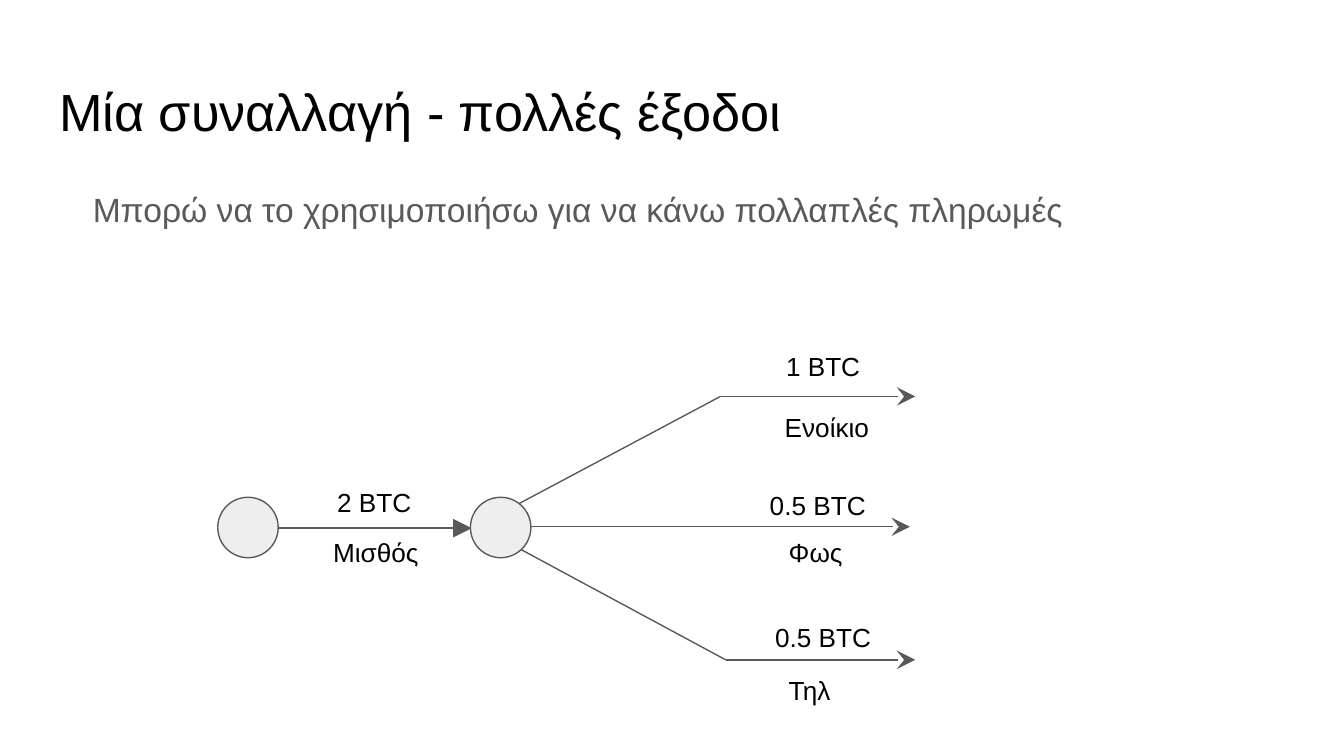
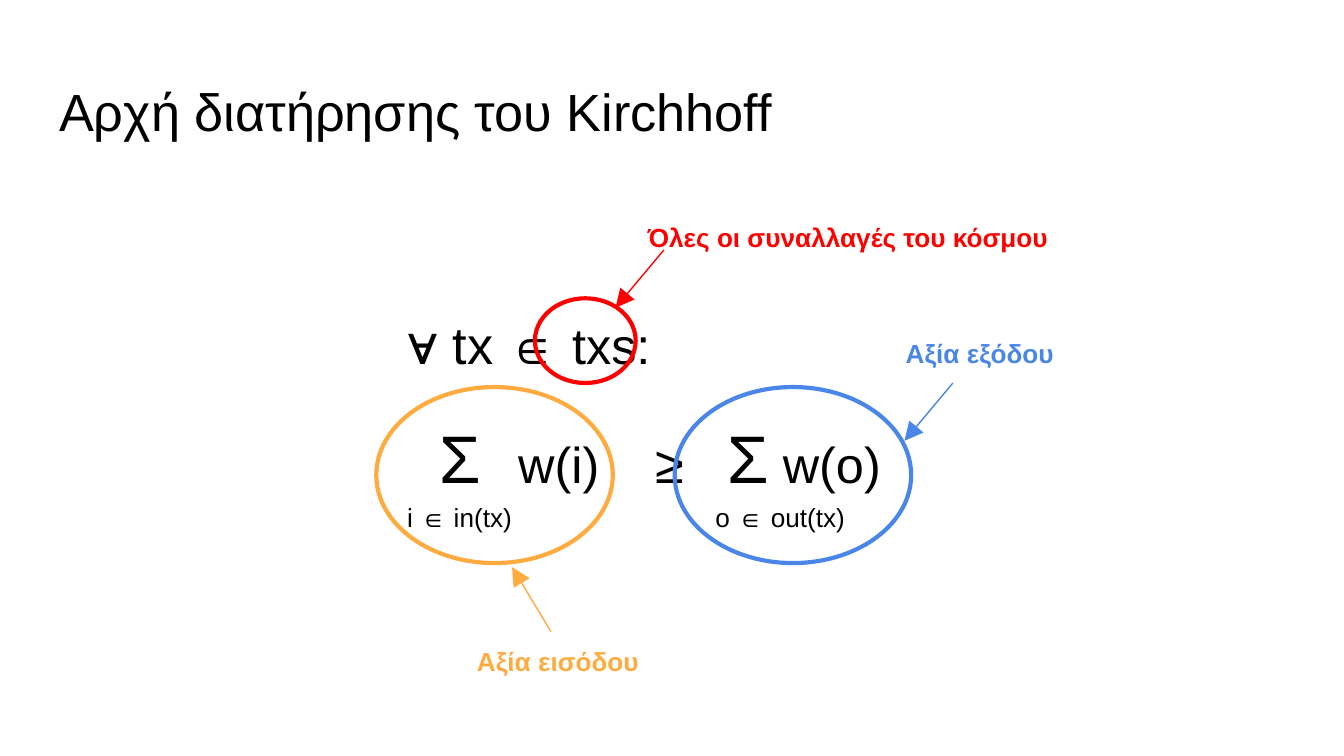
from dataclasses import dataclass

from lxml import etree
from pptx import Presentation
from pptx import util as u
from pptx.dml import color
from pptx.enum import shapes, text
from pptx.oxml import ns


@dataclass(frozen=True)
class Theme:
    font: str = "Arial"
    black: str = "000000"
    gray: str = "595959"
    pale: str = "EEEEEE"
    red: str = "FF0000"
    blue: str = "4A86E8"
    orange: str = "FFAB40"
    title_size: float = 28
    body_size: float = 18
    label_size: float = 14
    sum_size: float = 36
    term_size: float = 27
    thin: float = 0.75
    thick: float = 2.25


@dataclass(frozen=True)
class Box:
    left: float
    top: float
    width: float
    height: float

    def inside(self, left, top, width, height):
        """A box placed relative to this one."""
        return Box(self.left + left, self.top + top, width, height)

    def point(self, x, y):
        return u.Inches(self.left + x), u.Inches(self.top + y)

    def lengths(self):
        return [u.Inches(n) for n in (self.left, self.top, self.width, self.height)]


THEME = Theme()
TITLE = Box(0.34, 0.49, 9.32, 0.63)
BODY = Box(0.34, 1.26, 9.32, 3.74)
PAYMENTS = Box(1.62, 2.5, 5.81, 2.87)
CONSERVATION = Box(2.8, 1.55, 5.33, 3.58)


def rgb(value):
    return color.RGBColor.from_string(value)


def style_font(font, size, ink, bold=None):
    font.name = THEME.font
    font.size = u.Pt(size)
    font.color.rgb = rgb(ink)
    font.bold = bold


def prepare_frame(frame):
    frame.word_wrap = True
    frame.auto_size = text.MSO_AUTO_SIZE.NONE
    frame.vertical_anchor = text.MSO_ANCHOR.TOP
    frame.margin_left = frame.margin_right = u.Inches(0.1)
    frame.margin_top = frame.margin_bottom = u.Inches(0.1)


def place(shape, box):
    shape.left, shape.top, shape.width, shape.height = box.lengths()
    prepare_frame(shape.text_frame)


def format_body(paragraph, margin=0, indent=0):
    """Body spacing without a bullet."""
    properties = paragraph._p.get_or_add_pPr()
    properties.set("marL", str(u.Inches(margin)))
    properties.set("indent", str(u.Inches(indent)))
    etree.SubElement(properties, ns.qn("a:buNone"))
    paragraph.line_spacing = 1.15
    paragraph.space_before = u.Pt(0)
    paragraph.space_after = u.Pt(16)


def add_titled_slide(presentation, title):
    slide = presentation.slides.add_slide(presentation.slide_layouts[1])
    place(slide.shapes.title, TITLE)
    slide.shapes.title.text_frame.text = title
    paragraph = slide.shapes.title.text_frame.paragraphs[0]
    paragraph.alignment = text.PP_ALIGN.LEFT
    style_font(paragraph.runs[0].font, THEME.title_size, THEME.black)
    return slide


def add_label(slide, box, words, ink=THEME.black, bold=None, centered=False):
    frame = slide.shapes.add_textbox(*box.lengths()).text_frame
    prepare_frame(frame)
    frame.text = words
    paragraph = frame.paragraphs[0]
    if centered:
        paragraph.alignment = text.PP_ALIGN.CENTER
    style_font(paragraph.runs[0].font, THEME.label_size, ink, bold)


def add_ellipse(slide, box, ink, weight, fill=None):
    ellipse = slide.shapes.add_shape(shapes.MSO_SHAPE.OVAL, *box.lengths())
    ellipse.shadow.inherit = False
    if fill:
        ellipse.fill.solid()
        ellipse.fill.fore_color.rgb = rgb(fill)
    else:
        ellipse.fill.background()
    ellipse.line.color.rgb = rgb(ink)
    ellipse.line.width = u.Pt(weight)


def add_line(slide, box, start, end, ink, arrow=None):
    line = slide.shapes.add_connector(
        shapes.MSO_CONNECTOR.STRAIGHT, *box.point(*start), *box.point(*end))
    line.line.color.rgb = rgb(ink)
    line.line.width = u.Pt(THEME.thin)
    if arrow:
        etree.SubElement(line.line._get_or_add_ln(), ns.qn("a:tailEnd"),
                         type=arrow, w="lg", len="lg")
    etree.SubElement(line._element.spPr, ns.qn("a:effectLst"))


def add_payment_diagram(slide, box):
    def add_amount(left, top, words):
        add_label(slide, box.inside(left, top, 1.37, 0.45), words, centered=True)

    add_amount(0.48, 1.02, "2 BTC")
    add_label(slide, box.inside(0.76, 1.39, 0.9, 0.45), "Μισθός")
    add_line(slide, box, (0.44, 1.43), (1.89, 1.43), THEME.gray, "triangle")

    # Route points, then amount (left, top) and payee (left, top, width).
    payments = [
        ([(2.2, 1.27), (3.74, 0.45), (5.19, 0.45)],
         ("1 BTC", 3.82, 0.01), ("Ενοίκιο", 4.12, 0.46, 1.69)),
        ([(2.28, 1.42), (5.15, 1.42)],
         ("0.5 BTC", 3.78, 1.04), ("Φως", 4.15, 1.39, 0.83)),
        ([(2.24, 1.58), (3.78, 2.41), (5.19, 2.41)],
         ("0.5 BTC", 3.82, 2.02), ("Τηλ", 4.15, 2.42, 0.65)),
    ]
    for route, (amount, amount_left, amount_top), (payee, left, top, width) in payments:
        for start, end in zip(route, route[1:]):
            arrow = "stealth" if end == route[-1] else None
            add_line(slide, box, start, end, THEME.gray, arrow)
        add_amount(amount_left, amount_top, amount)
        add_label(slide, box.inside(left, top, width, 0.45), payee)

    for left in (0, 1.88):
        add_ellipse(slide, box.inside(left, 1.2, 0.45, 0.45),
                    THEME.gray, THEME.thin, THEME.pale)


def add_piece(paragraph, words, size, gap=0):
    """Add a run, then one space widened to the gap in points."""
    run = paragraph.add_run()
    run.text = words
    style_font(run.font, size, THEME.black)
    if gap:
        space = paragraph.add_run()
        space.text = " "
        style_font(space.font, size, THEME.black)
        extra = gap - 0.28 * size
        space.font._element.set("spc", str(round(extra * 100)))


def add_formula(slide, box):
    body = slide.placeholders[1]
    place(body, box)
    quantifier = body.text_frame.paragraphs[0]
    format_body(quantifier)
    add_piece(quantifier, "∀ tx ", THEME.title_size)
    add_piece(quantifier, "∈ txs:", THEME.term_size)

    sums = body.text_frame.add_paragraph()
    format_body(sums, indent=0.24)
    add_piece(sums, "Σ", THEME.sum_size, gap=20)
    add_piece(sums, "w(i)", THEME.term_size, gap=30)
    add_piece(sums, "≥", THEME.title_size, gap=23.3)
    add_piece(sums, "Σ", THEME.sum_size)
    add_piece(sums, " w(o)", THEME.term_size)
    sums.add_line_break()
    add_piece(sums, "i ∈ in(tx)", THEME.label_size, gap=109)
    add_piece(sums, "o ∈ out(tx)", THEME.label_size)


def add_conservation_law(slide, box):
    add_formula(slide, box.inside(0.13, 0.6, 3.75, 1.96))
    callouts = [
        ("Όλες οι συναλλαγές του κόσμου", THEME.red, (1.92, 0, 3.28, 0.43),
         (1.18, 0.67, 0.75, 0.63), (2.14, 0.31), (1.78, 0.74)),
        ("Αξία εξόδου", THEME.blue, (3.84, 0.86, 1.49, 0.43),
         (2.22, 1.33, 1.76, 1.31), (4.29, 1.3), (3.93, 1.73)),
        ("Αξία εισόδου", THEME.orange, (0.65, 3.15, 1.49, 0.43),
         (0, 1.33, 1.76, 1.31), (1.3, 3.15), (1.01, 2.67)),
    ]
    for words, ink, label, ring, start, end in callouts:
        add_ellipse(slide, box.inside(*ring), ink, THEME.thick)
        add_line(slide, box, start, end, ink, "triangle")
        add_label(slide, box.inside(*label), words, ink, bold=True)


def build_outputs_slide(presentation):
    slide = add_titled_slide(presentation, "Μία συναλλαγή - πολλές έξοδοι")
    body = slide.placeholders[1]
    place(body, BODY)
    body.text_frame.text = "Μπορώ να το χρησιμοποιήσω για να κάνω πολλαπλές πληρωμές"
    paragraph = body.text_frame.paragraphs[0]
    format_body(paragraph, margin=0.5, indent=-0.25)
    style_font(paragraph.runs[0].font, THEME.body_size, THEME.gray)
    add_payment_diagram(slide, PAYMENTS)


def build_conservation_slide(presentation):
    slide = add_titled_slide(presentation, "Αρχή διατήρησης του Kirchhoff")
    add_conservation_law(slide, CONSERVATION)


def main():
    presentation = Presentation()
    presentation.slide_width = u.Inches(10)
    presentation.slide_height = u.Inches(10) * 9 // 16
    build_outputs_slide(presentation)
    build_conservation_slide(presentation)
    presentation.save("out.pptx")


if __name__ == "__main__":
    main()
